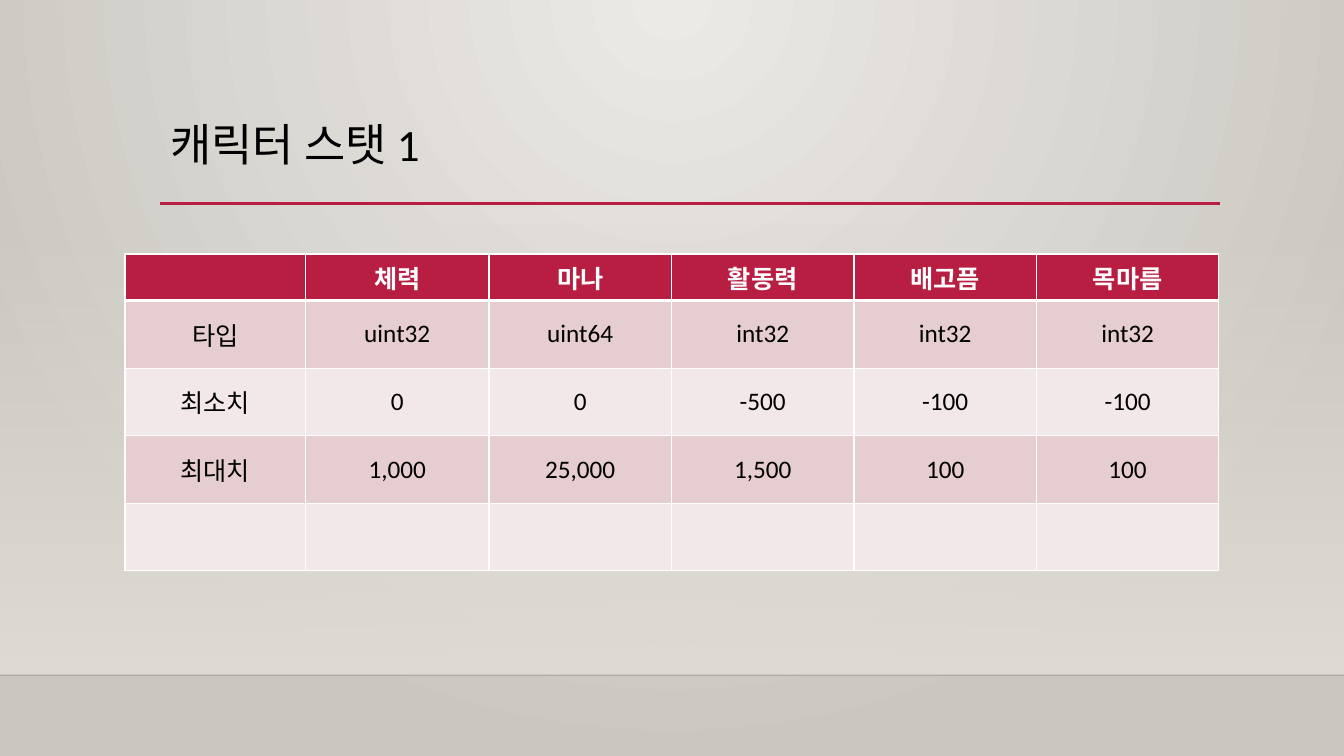
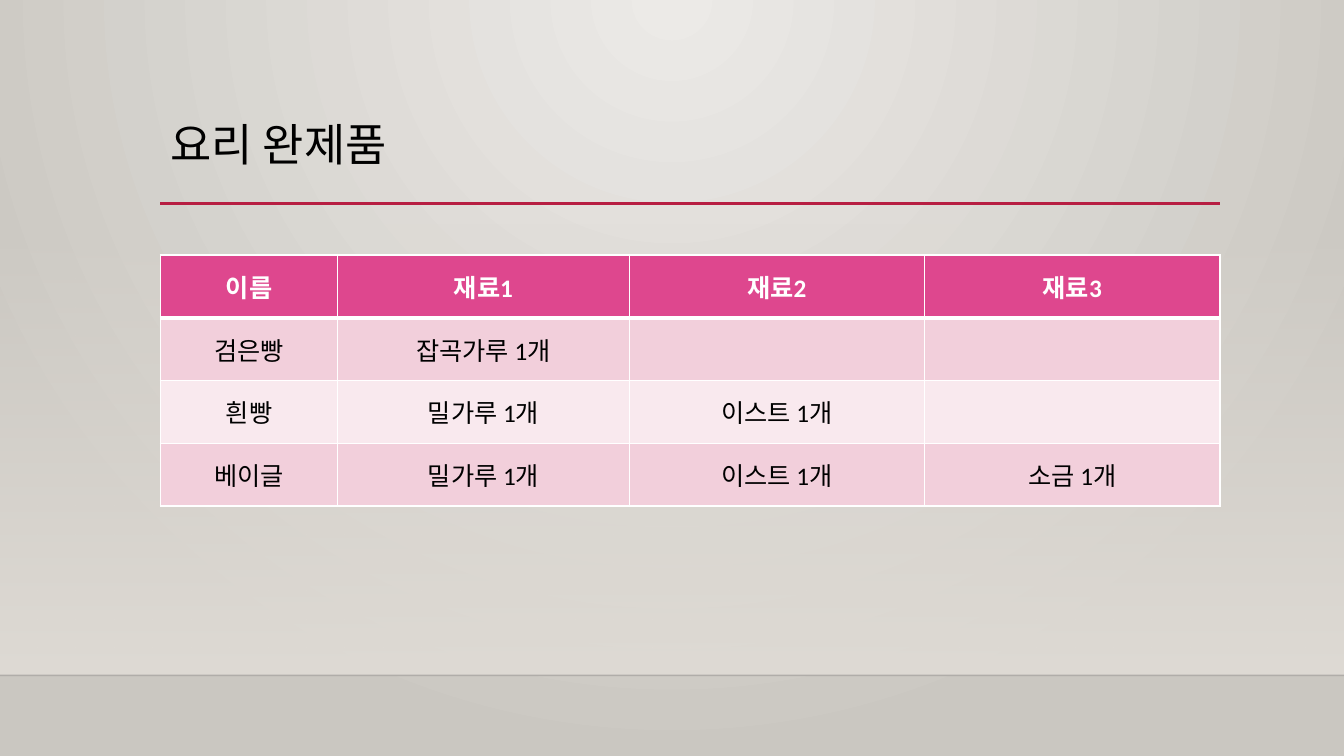
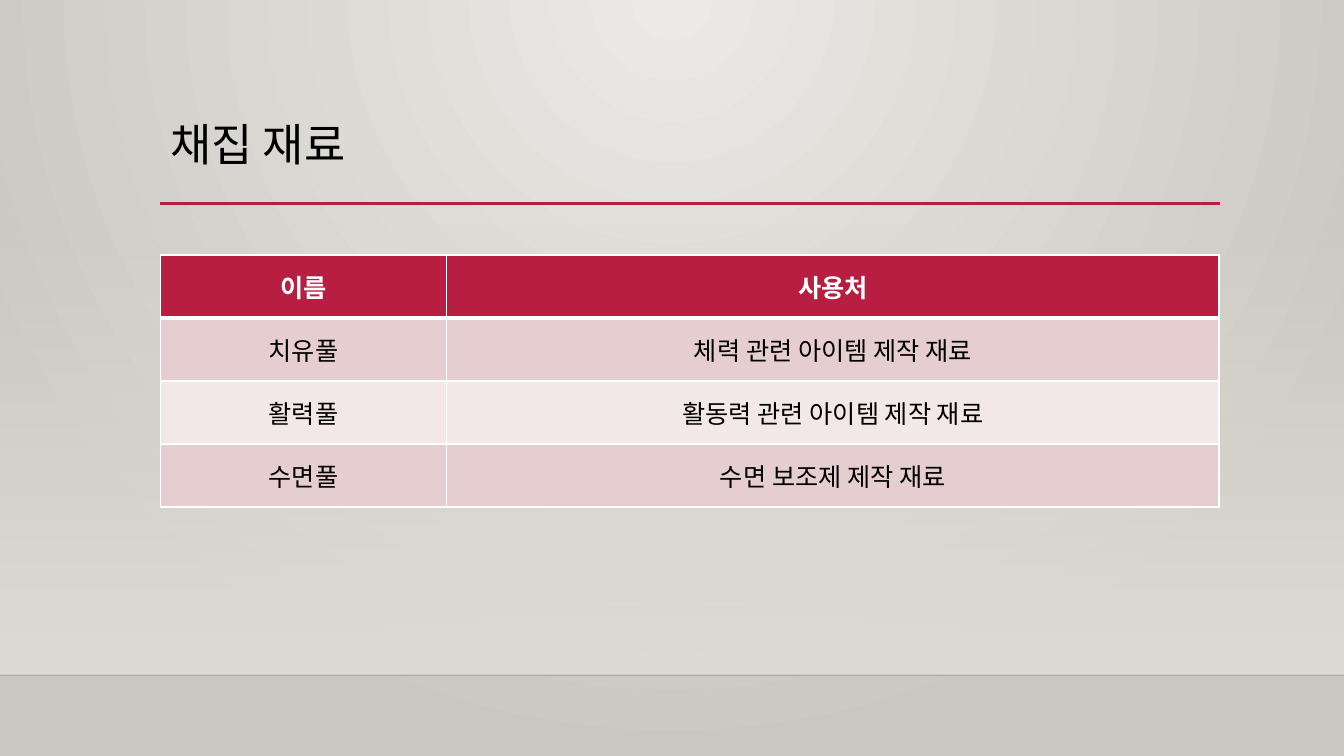
"""Build three game-data slides, each with a title, a rule and a table."""
from lxml import etree
from pptx import Presentation
from pptx import util as u
from pptx.dml.color import RGBColor
from pptx.enum import shapes, text
from pptx.oxml.ns import qn

BLACK, WHITE, RED, PINK = "000000", "FFFFFF", "B71E42", "DE478E"
GLOW, EDGE, FLOOR, FLOOR_LINE = "ECEAE7", "CAC7C1", "DFDBD5", "000001"
RED_STYLE = {"header": RED, "bands": ["E6CDCF", "F3E8E9"]}
PINK_STYLE = {"header": PINK, "bands": ["F2CFDB", "F9E9EE"]}
THIN, THICK = u.Pt(1), u.Pt(3)
FLOOR_TOP, FLOOR_BOTTOM = 2.21, 6.7
TITLE_AREA = {"left": 1.59, "top": 0.88, "width": 10.5, "height": 1.15}
TITLE_FONT = {"name": "Calibri", "size": u.Pt(32), "bold": False}
HEADER_FONT = {"name": "Calibri", "size": u.Pt(18), "bold": True}
BODY_FONT = {**HEADER_FONT, "bold": False}


def rgb(value):
    return RGBColor.from_string(value)


def write(frame, words, font_values, color, alignment):
    para = frame.paragraphs[0]
    para.alignment = alignment
    span = para.add_run()
    span.text = words
    for name, value in font_values.items():
        setattr(span.font, name, value)
    span.font.color.rgb = rgb(color)
    return para


character_stats = {
    "title": "캐릭터 스탯 1",
    "left": 1.24,
    "top": 2.52,
    "columns": [1.79, 1.82] + [1.81] * 4,
    "heights": [0.46] + [0.67] * 4,
    "style": RED_STYLE,
    "rows": [
        ["", "체력", "마나", "활동력", "배고픔", "목마름"],
        ["타입", "uint32", "uint64", "int32", "int32", "int32"],
        ["최소치", "0", "0", "-500", "-100", "-100"],
        ["최대치", "1,000", "25,000", "1,500", "100", "100"],
        [""] * 6,
    ],
}
finished_dishes = {
    "title": "요리 완제품",
    "left": 1.59,
    "top": 2.53,
    "columns": [1.76, 2.89, 2.93, 2.93],
    "heights": [2.49 / 4] * 4,
    "style": PINK_STYLE,
    "rows": [
        ["이름", "재료1", "재료2", "재료3"],
        ["검은빵", "잡곡가루 1개", "", ""],
        ["흰빵", "밀가루 1개", "이스트 1개", ""],
        ["베이글", "밀가루 1개", "이스트 1개", "소금 1개"],
    ],
}
gathered_materials = {
    "title": "채집 재료",
    "left": 1.59,
    "top": 2.53,
    "columns": [2.84, 7.66],
    "heights": [2.5 / 4] * 4,
    "style": RED_STYLE,
    "rows": [
        ["이름", "사용처"],
        ["치유풀", "체력 관련 아이템 제작 재료"],
        ["활력풀", "활동력 관련 아이템 제작 재료"],
        ["수면풀", "수면 보조제 제작 재료"],
    ],
}
topics = [character_stats, finished_dishes, gathered_materials]

deck = Presentation()
deck.slide_width, deck.slide_height = u.Inches(13.33), u.Inches(7.5)
layout = deck.slide_layouts[5]
pages = [deck.slides.add_slide(layout) for _ in topics]

backdrop = deck.slide_master.background.fill
backdrop.gradient()
for stop, color in zip(backdrop.gradient_stops, [GLOW, EDGE]):
    stop.color.rgb = rgb(color)
gradient = deck.slide_master.element.find(".//" + qn("p:bgPr")).find(qn("a:gradFill"))
gradient.remove(gradient.find(qn("a:lin")))
circle = etree.SubElement(gradient, qn("a:path"), path="circle")
etree.SubElement(circle, qn("a:fillToRect"), l="43000", t="0", r="43000", b="100000")

drawing = pages[0].shapes
floor = drawing.add_shape(
    shapes.MSO_SHAPE.RECTANGLE, 0, u.Inches(FLOOR_TOP),
    deck.slide_width, u.Inches(FLOOR_BOTTOM - FLOOR_TOP))
floor.shadow.inherit = False
floor.line.fill.background()
floor.fill.gradient()
floor.fill.gradient_angle = 270
for stop in floor.fill.gradient_stops:
    stop.color.rgb = rgb(FLOOR)

rules = []
for left, right, top, color, weight in [
        (0, 13.33, FLOOR_BOTTOM, FLOOR_LINE, 1),
        (1.59, 12.1, 2.02, RED, 2.5)]:
    rule = drawing.add_connector(
        shapes.MSO_CONNECTOR.STRAIGHT,
        u.Inches(left), u.Inches(top), u.Inches(right), u.Inches(top))
    rule.line.color.rgb = rgb(color)
    rule.line.width = u.Pt(weight)
    etree.SubElement(rule.element.spPr, qn("a:effectLst"))
    rules.append(rule)
floor_line, title_rule = rules

for item, opacity in [(floor, "0"), (floor_line, "20000")]:
    first_color = item.element.find(".//" + qn("a:srgbClr"))
    etree.SubElement(first_color, qn("a:alpha"), val=opacity)

for index, item in enumerate([floor, floor_line, title_rule], start=2):
    layout.shapes.element.insert(index, item.element)

for page, topic in zip(pages, topics):
    title = page.shapes.title
    for name, value in TITLE_AREA.items():
        setattr(title, name, u.Inches(value))
    title.text_frame.vertical_anchor = text.MSO_ANCHOR.MIDDLE
    heading = write(
        title.text_frame, topic["title"], TITLE_FONT, BLACK, text.PP_ALIGN.LEFT)
    heading.line_spacing = 0.9

    rows, columns, heights = topic["rows"], topic["columns"], topic["heights"]
    header_fill, bands = topic["style"]["header"], topic["style"]["bands"]
    table = page.shapes.add_table(
        len(rows), len(columns), u.Inches(topic["left"]), u.Inches(topic["top"]),
        u.Inches(sum(columns)), u.Inches(sum(heights))).table
    for column, width in zip(table.columns, columns):
        column.width = u.Inches(width)

    for number, (row, height, words) in enumerate(zip(table.rows, heights, rows)):
        row.height = u.Inches(height)
        borders = {"lnL": THIN, "lnR": THIN, "lnT": THIN, "lnB": THIN}
        if number == 0:
            fill, font_values, ink = header_fill, HEADER_FONT, WHITE
            borders["lnB"] = THICK
        else:
            fill, font_values, ink = bands[(number - 1) % 2], BODY_FONT, BLACK
        if number == 1:
            borders["lnT"] = THICK

        for cell, word in zip(row.cells, words):
            properties = cell._tc.get_or_add_tcPr()
            for side, weight in borders.items():
                border = etree.SubElement(properties, qn("a:" + side), w=str(weight))
                paint = etree.SubElement(border, qn("a:solidFill"))
                etree.SubElement(paint, qn("a:srgbClr"), val=WHITE)
            cell.fill.solid()
            cell.fill.fore_color.rgb = rgb(fill)
            cell.vertical_anchor = text.MSO_ANCHOR.MIDDLE
            if word:
                write(cell.text_frame, word, font_values, ink, text.PP_ALIGN.CENTER)

deck.save("out.pptx")
